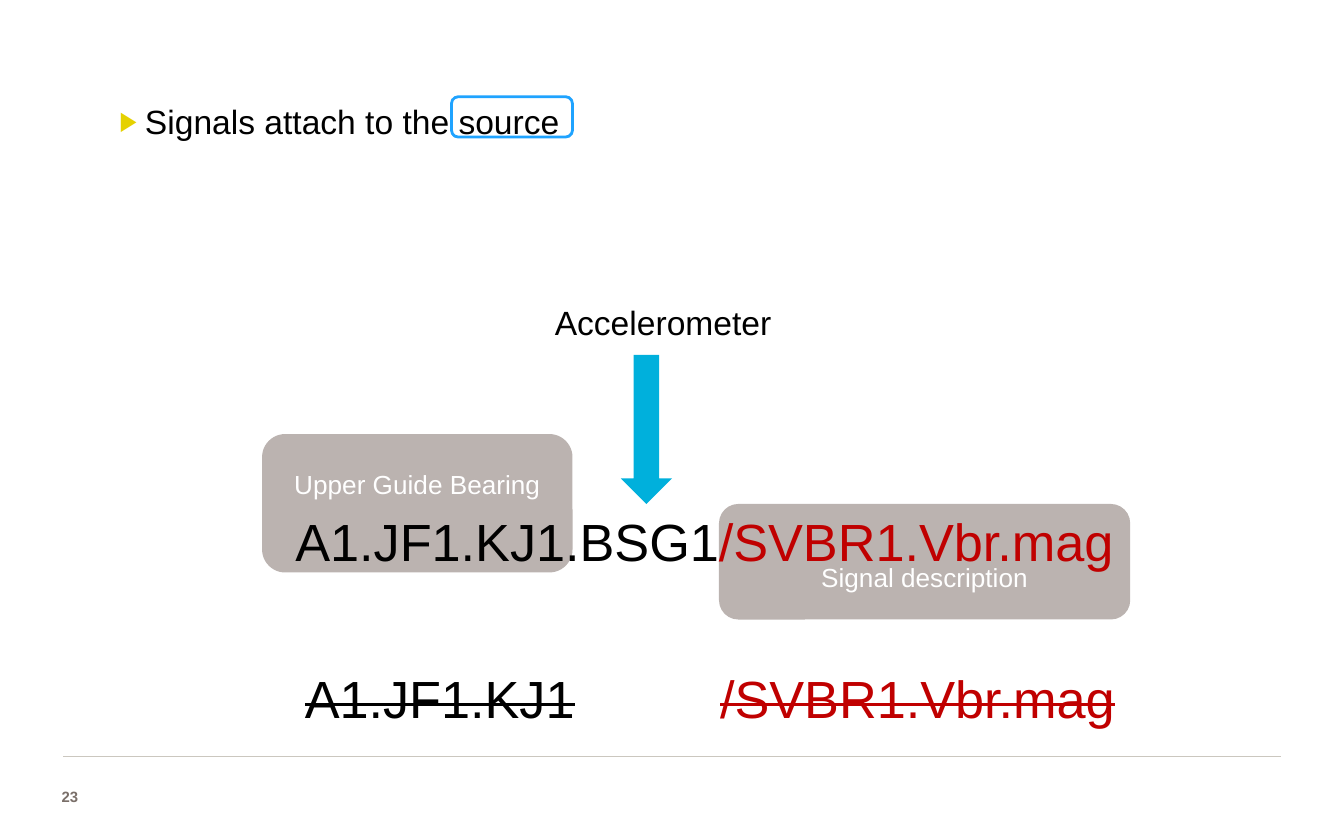
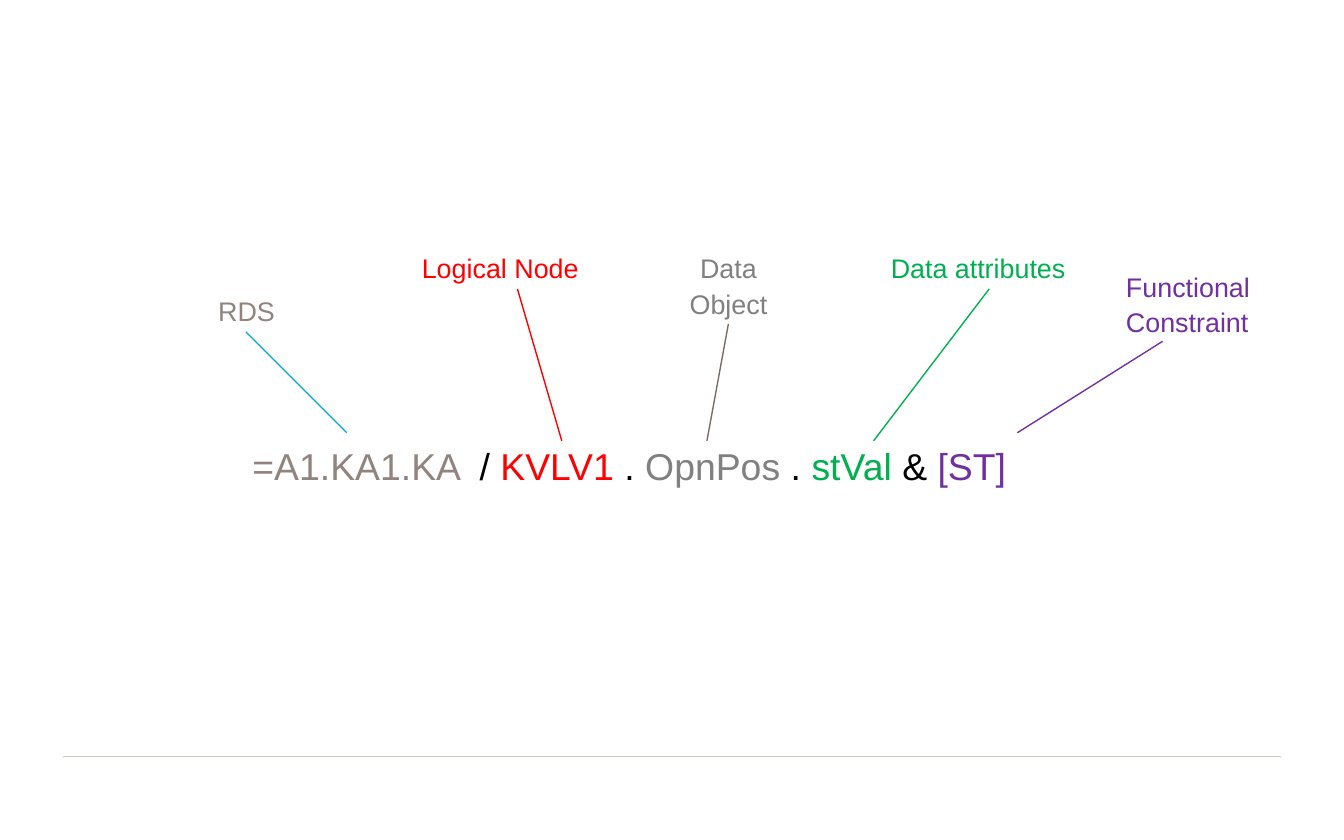
from dataclasses import dataclass
from typing import Optional

from lxml.etree import SubElement
from pptx import Presentation
from pptx.dml.color import RGBColor
from pptx.enum.shapes import MSO_CONNECTOR, MSO_SHAPE
from pptx.enum.text import MSO_ANCHOR, PP_ALIGN
from pptx.oxml.ns import qn
from pptx.util import Inches, Pt

FONT = "Arial"
BLACK, WHITE = "000000", "FFFFFF"
RULE, PAGE_NUMBER = "CBC7BF", "7A6F69"
TAUPE, SIGNAL_RED, YELLOW = "BBB3B0", "C00000", "E5D100"
ARROW_BLUE, OUTLINE_BLUE = "00B0DC", "1FA3FF"
RDS, NODE, DATA_OBJECT, ATTRIBUTE, CONSTRAINT = "91847F", "FF0000", "808080", "00B050", "7030A0"
SIGNAL = "/SVBR1.Vbr.mag"


@dataclass(frozen=True)
class Area:
    """Position and size in inches."""
    left: float
    top: float
    width: float
    height: float


@dataclass(frozen=True)
class Callout:
    """Rounded block with a caption pushed away from the centre."""
    text: str
    area: Area
    space_above: float = 0
    space_below: float = 0


@dataclass(frozen=True)
class Label:
    """Name of one part of the address and the line pointing to that part."""
    text: str
    area: Area
    color: str
    line_color: str
    start: tuple[float, float]
    end: tuple[float, float]
    align: PP_ALIGN = PP_ALIGN.LEFT


CALLOUTS = [
    Callout("Upper Guide Bearing", Area(1.95, 3.23, 2.31, 1.03), space_below=0.29),
    Callout("Signal description", Area(5.35, 3.75, 3.06, 0.86), space_above=0.22),
]

LABELS = [
    Label("Logical Node", Area(3.04, 1.8, 1.61, 0.35), NODE, NODE, (3.85, 2.15), (4.18, 3.28)),
    Label("Data Object", Area(4.81, 1.8, 1.22, 0.61), DATA_OBJECT, "786C66",
          (5.42, 2.41), (5.26, 3.28), PP_ALIGN.CENTER),
    Label("Data attributes", Area(6.53, 1.8, 1.66, 0.35), ATTRIBUTE, ATTRIBUTE,
          (7.36, 2.15), (6.5, 3.28)),
    Label("Functional Constraint", Area(8.28, 1.94, 1.17, 0.61), CONSTRAINT, CONSTRAINT,
          (8.65, 2.54), (7.57, 3.22)),
    Label("RDS", Area(1.28, 2.12, 1.11, 0.35), RDS, "00ACD7",
          (1.83, 2.47), (2.58, 3.22), PP_ALIGN.CENTER),
]

ADDRESS = [("=A1.KA1.KA\t", RDS), ("/ ", BLACK), ("KVLV1", NODE), (" . ", BLACK),
           ("OpnPos", DATA_OBJECT), (" . ", BLACK), ("stVal", ATTRIBUTE), (" & ", BLACK),
           ("[ST]", CONSTRAINT)]


def rgb(color: str) -> RGBColor:
    """Turn a hex string into a colour."""
    return RGBColor.from_string(color)


def place(area: Area) -> tuple:
    """Give the area as lengths."""
    return tuple(Inches(value) for value in (area.left, area.top, area.width, area.height))


def add_bullet(para, color: str, indent: float) -> None:
    """Set a hanging triangle bullet."""
    properties = para._p.get_or_add_pPr()
    properties.set("marL", str(Inches(indent)))
    properties.set("indent", str(-Inches(indent)))
    SubElement(SubElement(properties, qn("a:buClr")), qn("a:srgbClr"), val=color)
    SubElement(properties, qn("a:buSzPct"), val="80000")
    SubElement(properties, qn("a:buFont"), typeface=FONT)
    SubElement(properties, qn("a:buChar"), char="▶")


def add_tab(para, position: float) -> None:
    """Set one left tab stop."""
    tabs = SubElement(para._p.get_or_add_pPr(), qn("a:tabLst"))
    SubElement(tabs, qn("a:tab"), pos=str(Inches(position)), algn="l")


def write(box, text: str | list[tuple[str, str]], *, size: float, color: str = BLACK,
          bold: bool = False, strike: bool = False, align: PP_ALIGN = PP_ALIGN.LEFT,
          anchor: MSO_ANCHOR = MSO_ANCHOR.TOP, spacing: Optional[float] = None,
          bullet: Optional[str] = None, tab: Optional[float] = None) -> None:
    """Fill a box with one paragraph of plain text or of coloured spans."""
    frame = box.text_frame
    frame.word_wrap = True
    frame.vertical_anchor = anchor
    para = frame.paragraphs[0]
    if bullet:
        add_bullet(para, bullet, 0.19)
    if tab:
        add_tab(para, tab)
    para.alignment = align
    if spacing:
        para.line_spacing = spacing
    for words, span_color in ([(text, color)] if isinstance(text, str) else text):
        span = para.add_run()
        span.text = words
        span.font.name = FONT
        span.font.size = Pt(size)
        span.font.bold = bold
        span.font.color.rgb = rgb(span_color)
        if strike:
            span._r.get_or_add_rPr().set("strike", "sngStrike")


def add_text(page, area: Area, text: str | list[tuple[str, str]], **style) -> None:
    """Add a text box."""
    write(page.shapes.add_textbox(*place(area)), text, **style)


def add_block(page, kind: MSO_SHAPE, area: Area, *, fill: Optional[str] = None,
              line: Optional[str] = None):
    """Add a flat preset shape with a fill or an outline."""
    block = page.shapes.add_shape(kind, *place(area))
    block.shadow.inherit = False
    if fill:
        block.fill.solid()
        block.fill.fore_color.rgb = rgb(fill)
    else:
        block.fill.background()
    if line:
        block.line.color.rgb = rgb(line)
        block.line.width = Pt(1.5)
    else:
        block.line.fill.background()
    return block


def add_line(page, start: tuple[float, float], end: tuple[float, float], color: str,
             width: float) -> None:
    """Add a straight line without a shadow."""
    ends = [Inches(value) for value in (*start, *end)]
    line = page.shapes.add_connector(MSO_CONNECTOR.STRAIGHT, *ends)
    line.line.color.rgb = rgb(color)
    line.line.width = Pt(width)
    SubElement(line._element.spPr, qn("a:effectLst"))


def add_page(deck):
    """Add a blank page with the footer rule."""
    page = deck.slides.add_slide(deck.slide_layouts[6])
    add_line(page, (0.47, 5.63), (9.53, 5.63), RULE, 0.5)
    return page


def add_callout(page, callout: Callout) -> None:
    """Draw a rounded block with its caption."""
    block = add_block(page, MSO_SHAPE.ROUNDED_RECTANGLE, callout.area, fill=TAUPE)
    block.text_frame.margin_top = Inches(0.05 + callout.space_above)
    block.text_frame.margin_bottom = Inches(0.05 + callout.space_below)
    write(block, callout.text, size=14, color=WHITE, align=PP_ALIGN.CENTER,
          anchor=MSO_ANCHOR.MIDDLE)


def add_label(page, label: Label) -> None:
    """Draw a label and its pointing line."""
    add_text(page, label.area, label.text, size=14.4, color=label.color,
             align=label.align, spacing=1.1)
    add_line(page, label.start, label.end, label.line_color, 0.75)


def build_signal_page(deck) -> None:
    """Show how a signal attaches to its source."""
    page = add_page(deck)
    for callout in CALLOUTS:
        add_callout(page, callout)
    add_text(page, Area(0.36, 5.76, 0.43, 0.33), "23", size=8, color=PAGE_NUMBER, bold=True,
             anchor=MSO_ANCHOR.MIDDLE)
    add_text(page, Area(0.79, 0.67, 4.88, 0.41), "Signals attach to the source", size=18,
             spacing=1.1, bullet=YELLOW)
    add_text(page, Area(2.1, 3.69, 7, 0.58),
             [("A1.JF1.KJ1.BSG1", BLACK), (SIGNAL, SIGNAL_RED)], size=28, spacing=1.1)
    add_block(page, MSO_SHAPE.DOWN_ARROW, Area(4.62, 2.64, 0.38, 1.11), fill=ARROW_BLUE)
    add_block(page, MSO_SHAPE.ROUNDED_RECTANGLE, Area(3.36, 0.72, 0.9, 0.3), line=OUTLINE_BLUE)
    add_text(page, Area(4.03, 2.17, 2.37, 0.41), "Accelerometer", size=18, spacing=1.1)
    add_text(page, Area(2.17, 4.86, 7, 0.58),
             [("A1.JF1.KJ1\t", BLACK), (SIGNAL, SIGNAL_RED)], size=28, spacing=1.1,
             strike=True, tab=3.09)


def build_address_page(deck) -> None:
    """Name the parts of a full address."""
    page = add_page(deck)
    add_text(page, Area(1.78, 3.25, 7.67, 0.44), ADDRESS, size=20, tab=1.69)
    for label in LABELS:
        add_label(page, label)


def main() -> None:
    """Build and save the deck."""
    deck = Presentation()
    deck.slide_width, deck.slide_height = Inches(10), Inches(6.25)
    build_signal_page(deck)
    build_address_page(deck)
    deck.save("out.pptx")


if __name__ == "__main__":
    main()
